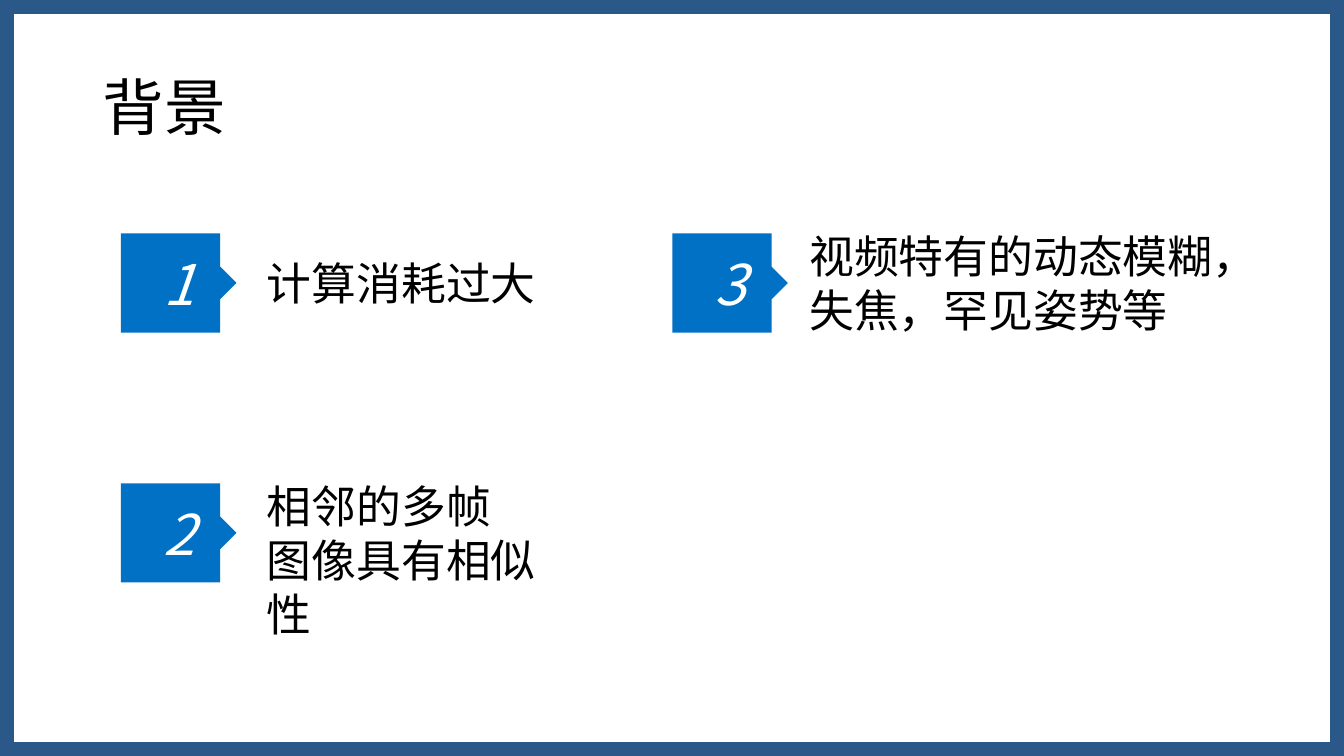
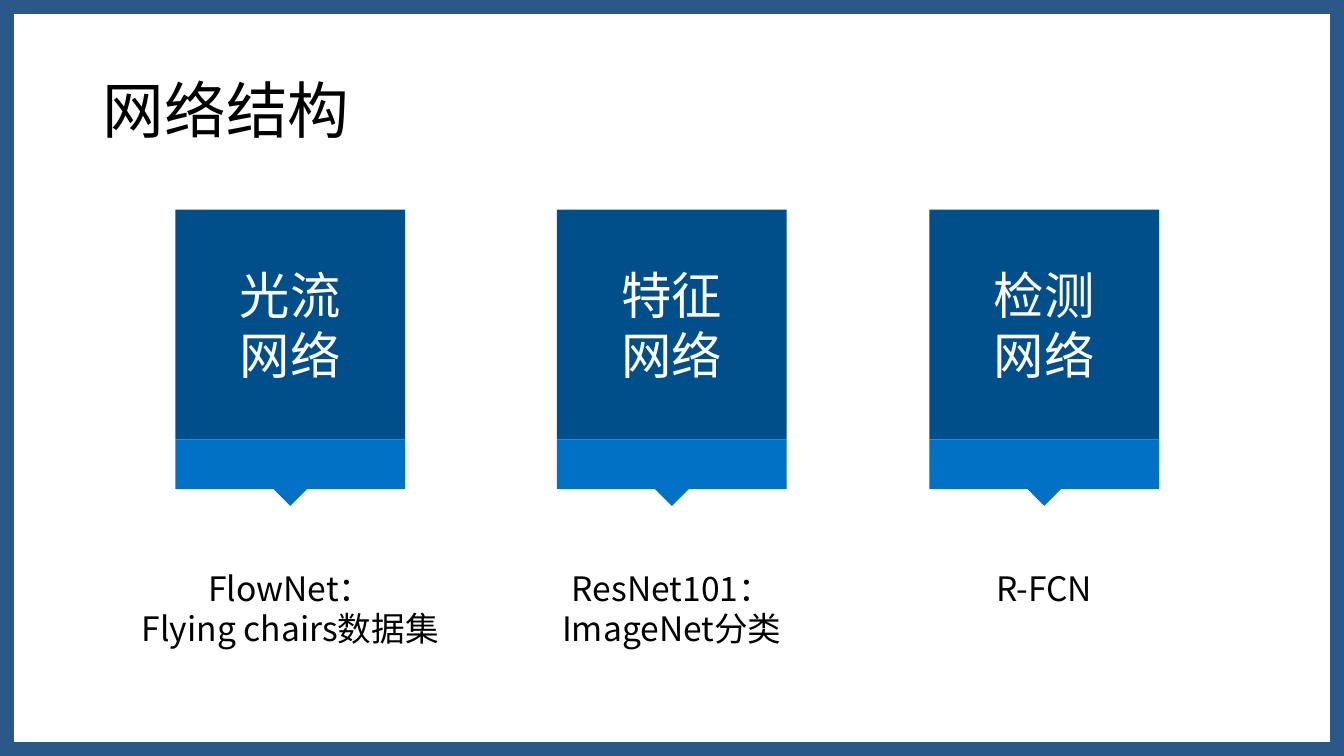
import pptx
import pptx.util
import pptx.dml.color
import pptx.enum.shapes
import pptx.enum.text
import pptx.oxml.ns
import lxml.etree

RGBColor = pptx.dml.color.RGBColor
Shape = pptx.enum.shapes.MSO_SHAPE
Align = pptx.enum.text.PP_ALIGN
Anchor = pptx.enum.text.MSO_ANCHOR

FRAME_BLUE = RGBColor(0x2A, 0x59, 0x89)
BRIGHT_BLUE = RGBColor(0x01, 0x71, 0xC5)
DEEP_BLUE = RGBColor(0x00, 0x4F, 0x8A)
BLACK = RGBColor(0x00, 0x00, 0x00)
WHITE = RGBColor(0xFF, 0xFF, 0xFF)
FONT = "Noto Sans CJK SC"

# The slide is a grid of square cells, ten to the inch
CELL = pptx.util.Inches(0.1)
SLIDE_COLUMNS, SLIDE_ROWS = 133.33, 75

# Numbered tags: square side, depth of the pointer
TAG_SIDE, TAG_POINT = 9.84, 1.62
TAG_COLUMNS = (12, 66.7)
TAG_ROWS = (23.15, 47.95)

# Network tiles: square with a band and pointer below it
TILE_SIDE, TILE_TOP = 22.8, 20.8
TILE_CENTERS = (28.8, 66.65, 103.6)
BAND_HEIGHT, POINTER_SIDE = 4.9, 2.4
CAPTION_TOP, CAPTION_WIDTH = 55.8, 36


def grid(*cells):
    """Convert grid cells to slide lengths."""
    return [int(cell * CELL) for cell in cells]


def write_text(shape, lines, size, color, align=Align.LEFT, anchor=Anchor.TOP,
               italic=None, line_spacing=None):
    frame = shape.text_frame
    frame.word_wrap = True
    frame.vertical_anchor = anchor
    frame.text = "\n".join(lines)
    for paragraph in frame.paragraphs:
        paragraph.alignment = align
        paragraph.line_spacing = line_spacing
        font = paragraph.font
        font.name, font.size, font.italic = FONT, pptx.util.Pt(size), italic
        font.color.rgb = color
        # East Asian letters take their own typeface element
        properties = paragraph._p.pPr.find(pptx.oxml.ns.qn("a:defRPr"))
        east_asian = lxml.etree.SubElement(properties, pptx.oxml.ns.qn("a:ea"))
        east_asian.set("typeface", FONT)


def paint(shape, color):
    shape.shadow.inherit = False
    shape.fill.solid()
    shape.fill.fore_color.rgb = color
    shape.line.fill.background()


def add_block(slide, kind, box, color):
    shape = slide.shapes.add_shape(kind, *grid(*box))
    paint(shape, color)
    return shape


def add_label(slide, box, lines, size, align=Align.LEFT):
    label = slide.shapes.add_textbox(*grid(*box))
    write_text(label, lines, size, BLACK, align)


def add_frame(slide, layout):
    """Draw the border and move it to the layout that the slides share."""
    frame = slide.shapes.add_shape(Shape.RECTANGLE, *grid(0, 0, SLIDE_COLUMNS, SLIDE_ROWS))
    frame.shadow.inherit = False
    frame.fill.background()
    frame.line.color.rgb = FRAME_BLUE
    frame.line.width = pptx.util.Pt(20)
    layout.shapes.element.append(frame.element)


def add_titled_slide(presentation, layout, title, title_box):
    slide = presentation.slides.add_slide(layout)
    placeholder = slide.shapes.title
    placeholder.left, placeholder.top, placeholder.width, placeholder.height = grid(*title_box)
    write_text(placeholder, [title], 44, BLACK, anchor=Anchor.MIDDLE, line_spacing=0.9)
    return slide


def add_tag(slide, number, left, top):
    """A numbered square with a pointer in the middle of its right side."""
    right, bottom, middle = left + TAG_SIDE, top + TAG_SIDE, top + TAG_SIDE / 2
    corners = [(right, top), (right, middle - TAG_POINT), (right + TAG_POINT, middle),
               (right, middle + TAG_POINT), (right, bottom), (left, bottom)]
    builder = slide.shapes.build_freeform(*grid(left, top))
    builder.add_line_segments([grid(*corner) for corner in corners], close=True)
    tag = builder.convert_to_shape()
    paint(tag, BRIGHT_BLUE)
    write_text(tag, [number], 40, WHITE, Align.CENTER, Anchor.MIDDLE, italic=True)


def add_network(slide, center, name_lines, caption_lines):
    left, bottom = center - TILE_SIDE / 2, TILE_TOP + TILE_SIDE
    add_block(slide, Shape.RECTANGLE, (left, bottom, TILE_SIDE, BAND_HEIGHT), BRIGHT_BLUE)
    pointer_box = (center - POINTER_SIDE / 2, bottom + BAND_HEIGHT - POINTER_SIDE / 2,
                   POINTER_SIDE, POINTER_SIDE)
    add_block(slide, Shape.RIGHT_TRIANGLE, pointer_box, BRIGHT_BLUE).rotation = 315
    tile = add_block(slide, Shape.RECTANGLE, (left, TILE_TOP, TILE_SIDE, TILE_SIDE), DEEP_BLUE)
    write_text(tile, name_lines, 36, WHITE, Align.CENTER, Anchor.MIDDLE)
    caption_box = (center - CAPTION_WIDTH / 2, CAPTION_TOP, CAPTION_WIDTH, 9.1)
    add_label(slide, caption_box, caption_lines, 24, Align.CENTER)


def build_background(presentation, layout):
    slide = add_titled_slide(presentation, layout, "背景", (9.2, 6, 112.2, 10))
    add_frame(slide, layout)
    # Number, column, row, then box and lines of the text beside it
    points = [
        ("1", 0, 0, (25.5, 24.9, 31, 6.4), ["计算消耗过大"]),
        ("2", 0, 1, (25.5, 47, 31, 17.2), ["相邻的多帧", "图像具有相似性"]),
        ("3", 1, 0, (79.3, 22.2, 50, 11.8), ["视频特有的动态模糊，", "失焦，罕见姿势等"]),
    ]
    for number, column, row, box, lines in points:
        add_tag(slide, number, TAG_COLUMNS[column], TAG_ROWS[row])
        add_label(slide, box, lines, 32)


def build_structure(presentation, layout):
    slide = add_titled_slide(presentation, layout, "网络结构", (9.2, 4, 115, 14.5))
    networks = [
        (["光流", "网络"], ["FlowNet：", "Flying chairs数据集"]),
        (["特征", "网络"], ["ResNet101：", "ImageNet分类"]),
        (["检测", "网络"], ["R-FCN"]),
    ]
    for center, (name_lines, caption_lines) in zip(TILE_CENTERS, networks):
        add_network(slide, center, name_lines, caption_lines)


def main():
    presentation = pptx.Presentation()
    presentation.slide_width, presentation.slide_height = grid(SLIDE_COLUMNS, SLIDE_ROWS)
    layout = presentation.slide_layouts.get_by_name("Title Only")
    build_background(presentation, layout)
    build_structure(presentation, layout)
    presentation.save("out.pptx")


if __name__ == "__main__":
    main()
